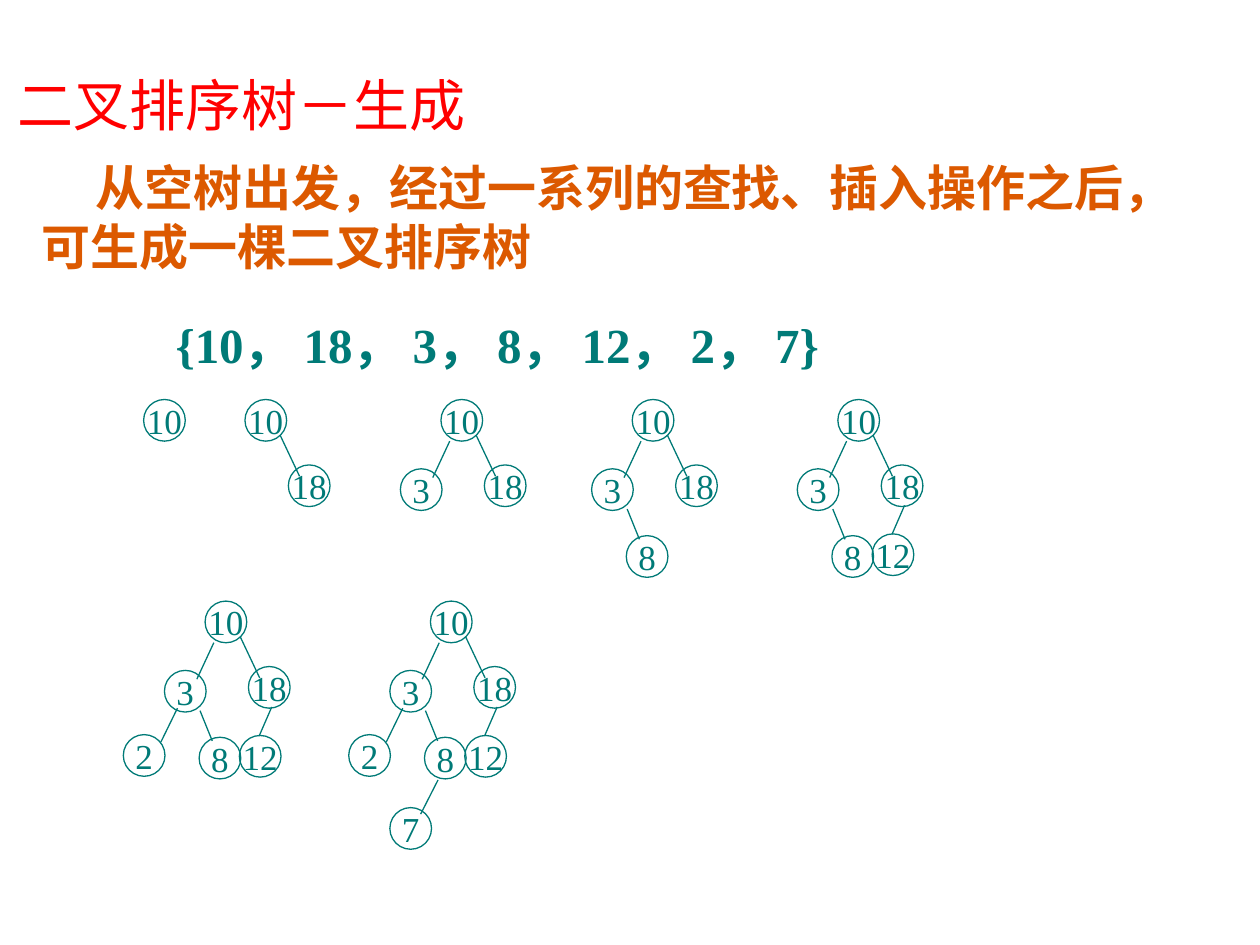
from pptx import Presentation
from pptx.dml.color import RGBColor
from pptx.enum import shapes, text
from pptx.oxml import xmlchemy
from pptx.oxml.ns import qn
from pptx.util import Pt

TEAL = RGBColor(0x00, 0x7A, 0x77)
ORANGE = RGBColor(0xDC, 0x59, 0x00)
RED = RGBColor(0xFF, 0x00, 0x00)
SERIF, SANS, CJK = "Times New Roman", "Arial", "Noto Sans CJK SC"

KEYS = [10, 18, 3, 8, 12, 2, 7]
NODES = {10: (0, 0), 18: (24.8, 37.4), 3: (-23.2, 39.6), 8: (-3.4, 77.8),
         12: (19.6, 76.8), 2: (-46.7, 76.3), 7: (-23.2, 118)}
EDGES = {18: (20, 20.2, 31.2, 43.9), 3: (5, 23.8, -4.7, 44.6),
         8: (-2.9, 62.6, 4.1, 79.9), 12: (38.1, 60.5, 30.9, 77.1),
         2: (-15.8, 61.2, -25.3, 80.6), 7: (4.3, 102.2, -5.6, 121.7)}
ROOTS = [(82.1, 228.3), (140, 228.3), (252, 228.3), (361.3, 228.3),
         (478.8, 228.3), (117.2, 343.5), (246, 343.5)]


def add_text(tf, content, size=20, font=SERIF, color=TEAL, bold=False,
             align=text.PP_ALIGN.LEFT, margin=0, indent=0, east_asian=None):
    p = tf.paragraphs[0]
    p.alignment = align
    p.space_before = Pt(0)
    pPr = p._p.get_or_add_pPr()
    pPr.set("marL", str(Pt(margin)))
    pPr.set("indent", str(Pt(indent)))
    pPr.append(xmlchemy.OxmlElement("a:buNone"))
    r = p.add_run()
    r.text = content
    r.font.size = Pt(size)
    r.font.name = font
    r.font.bold = bold
    r.font.color.rgb = color
    if east_asian:
        ea = xmlchemy.OxmlElement("a:ea")
        ea.set("typeface", east_asian)
        r.font._element.find(qn("a:latin")).addnext(ea)


class TreeSlide:
    line_width = 0.75
    node_size = 23.8

    def __init__(self, prs):
        self.s = prs.slides.add_slide(prs.slide_layouts[1])

    def placeholder(self, index, box, content, anchor, **style):
        sp = self.s.placeholders[index]
        sp.left, sp.top, sp.width, sp.height = map(Pt, box)
        tf = sp.text_frame
        tf.auto_size = text.MSO_AUTO_SIZE.NONE
        tf.word_wrap = True
        tf.vertical_anchor = anchor
        add_text(tf, content, **style)

    def textbox(self, box, content, anchor, **style):
        tf = self.s.shapes.add_textbox(*map(Pt, box)).text_frame
        tf.word_wrap = True
        tf.vertical_anchor = anchor
        add_text(tf, content, **style)

    def node(self, parent, x, y, key):
        size = Pt(self.node_size)
        sp = parent.add_shape(shapes.MSO_SHAPE.OVAL, Pt(x), Pt(y), size, size)
        sp.shadow.inherit = False
        sp.fill.background()
        sp.line.color.rgb = TEAL
        sp.line.width = Pt(self.line_width)
        tf = sp.text_frame
        tf.word_wrap = False
        tf.vertical_anchor = text.MSO_ANCHOR.MIDDLE
        add_text(tf, str(key), align=text.PP_ALIGN.CENTER)

    def edge(self, parent, x1, y1, x2, y2):
        line = parent.add_connector(shapes.MSO_CONNECTOR.STRAIGHT,
                                    Pt(x1), Pt(y1), Pt(x2), Pt(y2))
        line.line.color.rgb = TEAL
        line.line.width = Pt(self.line_width)
        line._element.spPr.append(xmlchemy.OxmlElement("a:effectLst"))

    def tree(self, x, y, keys):
        parent = self.s.shapes
        if len(keys) > 1:
            parent = parent.add_group_shape().shapes
        for key in keys:
            dx, dy = NODES[key]
            self.node(parent, x + dx, y + dy, key)
            if key in EDGES:
                x1, y1, x2, y2 = EDGES[key]
                self.edge(parent, x + x1, y + y1, x + x2, y + y2)


def main():
    prs = Presentation()
    prs.slide_width, prs.slide_height = Pt(720), Pt(540)
    slide = TreeSlide(prs)
    slide.placeholder(0, (2.9, 39.6, 424.8, 40.3), "二叉排序树－生成",
                      text.MSO_ANCHOR.MIDDLE, size=32, font=CJK, color=RED,
                      east_asian=CJK)
    slide.placeholder(1, (16.6, 86.4, 661, 74.9),
                      "从空树出发，经过一系列的查找、插入操作之后，可生成一棵二叉排序树",
                      text.MSO_ANCHOR.TOP, size=28, font=SANS, color=ORANGE,
                      bold=True, indent=31)
    sequence = "， ".join(map(str, KEYS))
    slide.textbox((79.2, 151.9, 599, 64.8), "{" + sequence + "}",
                  text.MSO_ANCHOR.BOTTOM, size=28, bold=True, margin=14)
    for count, (x, y) in enumerate(ROOTS, 1):
        slide.tree(x, y, KEYS[:count])
    prs.save("out.pptx")


if __name__ == "__main__":
    main()
